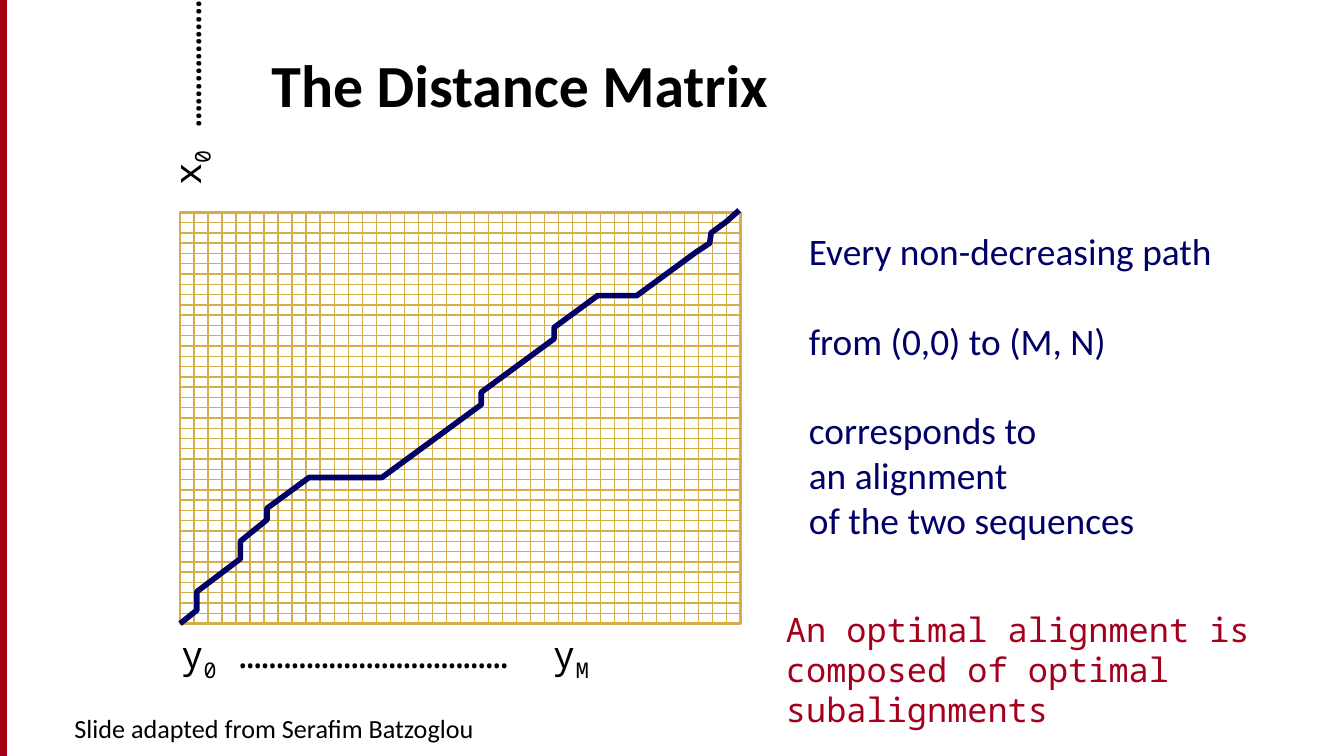
from typing import NamedTuple

from lxml import etree
from pptx import Presentation, util as u
from pptx.dml.color import RGBColor
from pptx.enum import shapes, text
from pptx.oxml.ns import qn

WIDTH = 10
HEIGHT = WIDTH * 9 / 16
BLACK, NAVY, CRIMSON, GOLD = "000000", "000066", "A4001D", "D5AE4C"
SANS, MONO = "Calibri", "Noto Sans Mono"

# Matrix frame, in inches, and its number of cells
LEFT, TOP, MATRIX_W, MATRIX_H = 1.34, 1.58, 4.17, 3.06
COLUMNS = ROWS = 40

# Alignment path as (column, row), counted from the lower left corner
PATH = [
    (0, 0), (1.2, 1.3), (1.2, 3.1), (4.3, 6.3), (4.3, 8), (6.2, 10.1),
    (6.2, 11.2), (9.2, 14.2), (14.4, 14.2), (21.5, 21.3), (21.5, 22.5),
    (26.7, 27.7), (26.7, 28.8), (29.8, 31.9), (32.6, 31.9), (36.8, 36.1),
    (37.8, 37), (37.9, 38), (39, 39.1), (39.9, 40.2),
]


class Run(NamedTuple):
    """A piece of text, lowered when it is an index."""
    words: str
    subscript: bool = False


class Line(NamedTuple):
    """A paragraph and the space above it in points."""
    runs: list[Run]
    space_before: float = 0


class Caption(NamedTuple):
    """A text box with one font throughout."""
    box: tuple[float, float, float, float]
    lines: list[Line]
    font: str
    size: float
    color: str
    align: text.PP_ALIGN = text.PP_ALIGN.LEFT
    rotation: float = 0
    right_inset: float = 0.1


CAPTIONS = [
    Caption((0.25, 5.25, 3.58, 0.38),
            [Line([Run("Slide adapted from Serafim Batzoglou")])],
            SANS, 14, BLACK, text.PP_ALIGN.CENTER),
    Caption((1.25, 4.65, 4.34, 0.44),
            [Line([Run("y"), Run("0", True), Run(" " + "…" * 12 + "  y"),
                   Run("M", True)])],
            MONO, 20, BLACK),
    Caption((0.61, 0.48, 1.56, 0.44),
            [Line([Run("x"), Run("0", True), Run(" " + "…" * 6)])],
            MONO, 20, BLACK, rotation=270, right_inset=0),
    Caption((5.92, 1.65, 3.67, 2.86),
            [Line([Run("Every non-decreasing path")]),
             Line([Run("from (0,0) to (M, N)")], 24),
             Line([Run("corresponds to")], 24),
             Line([Run("an alignment")]),
             Line([Run("of the two sequences")])],
            SANS, 20, NAVY),
    Caption((5.75, 4.48, 4.16, 0.71),
            [Line([Run("An optimal alignment is composed of optimal "
                       "subalignments")])],
            MONO, 18, CRIMSON),
]


def paint(color_format, color: str) -> None:
    """Set a fill, line or font colour from a hex string."""
    color_format.rgb = RGBColor.from_string(color)


def stroke(item, color: str, width: float) -> None:
    """Give a shape or connector a solid line."""
    paint(item.line.color, color)
    item.line.width = u.Pt(width)


def set_font(font, name: str, size: float, color: str) -> None:
    """Set typeface, size and colour."""
    font.name, font.size = name, u.Pt(size)
    paint(font.color, color)


def cell(column: float, row: float) -> tuple[u.Length, u.Length]:
    """Turn a matrix position into slide lengths."""
    return (u.Inches(LEFT + column * MATRIX_W / COLUMNS),
            u.Inches(TOP + MATRIX_H - row * MATRIX_H / ROWS))


def add_rectangle(slide, left: float, top: float, width: float, height: float):
    """Add a rectangle without a shadow."""
    rectangle = slide.shapes.add_shape(
        shapes.MSO_SHAPE.RECTANGLE,
        *map(u.Inches, (left, top, width, height)))
    rectangle.shadow.inherit = False
    return rectangle


def add_rule(slide, start: tuple[float, float], end: tuple[float, float]) -> None:
    """Add one thin grid line between two matrix positions."""
    rule = slide.shapes.add_connector(
        shapes.MSO_CONNECTOR.STRAIGHT, *cell(*start), *cell(*end))
    stroke(rule, GOLD, 0.75)
    etree.SubElement(rule._element.spPr, qn("a:effectLst"))


def add_matrix(slide) -> None:
    """Draw the frame and its inner grid lines."""
    frame = add_rectangle(slide, LEFT, TOP, MATRIX_W, MATRIX_H)
    frame.fill.background()
    stroke(frame, GOLD, 1.5)
    for row in range(1, ROWS):
        add_rule(slide, (0, row), (COLUMNS, row))
    for column in range(1, COLUMNS):
        add_rule(slide, (column, 0), (column, ROWS))


def add_path(slide) -> None:
    """Draw the alignment path through the matrix."""
    start, *steps = [cell(*point) for point in PATH]
    builder = slide.shapes.build_freeform(*start)
    builder.add_line_segments(steps, close=False)
    alignment = builder.convert_to_shape()
    alignment.shadow.inherit = False
    alignment.fill.background()
    stroke(alignment, NAVY, 3)


def add_caption(slide, caption: Caption) -> None:
    """Add a text box with its paragraphs."""
    box = slide.shapes.add_textbox(*map(u.Inches, caption.box))
    box.rotation = caption.rotation
    frame = box.text_frame
    frame.word_wrap = True
    frame.margin_right = u.Inches(caption.right_inset)
    for index, line in enumerate(caption.lines):
        paragraph = frame.add_paragraph() if index else frame.paragraphs[0]
        paragraph.alignment = caption.align
        paragraph.space_before = u.Pt(line.space_before)
        set_font(paragraph.font, caption.font, caption.size, caption.color)
        for piece in line.runs:
            run = paragraph.add_run()
            run.text = piece.words
            if piece.subscript:
                run._r.get_or_add_rPr().set("baseline", "-25000")


def add_title(slide) -> None:
    """Fill and place the title placeholder."""
    title = slide.shapes.title
    title.left, title.top, title.width, title.height = map(
        u.Inches, (1.92, 0, 8.5, 0.94))
    frame = title.text_frame
    frame.text = "The Distance Matrix"
    frame.auto_size = text.MSO_AUTO_SIZE.NONE
    frame.vertical_anchor = text.MSO_ANCHOR.BOTTOM
    heading = frame.paragraphs[0]
    heading.alignment = text.PP_ALIGN.LEFT
    heading.font.bold = True
    set_font(heading.font, SANS, 32, BLACK)


def main() -> None:
    """Build the slide and save it."""
    deck = Presentation()
    deck.slide_width, deck.slide_height = u.Inches(WIDTH), u.Inches(HEIGHT)
    slide = deck.slides.add_slide(deck.slide_layouts[5])
    edge = add_rectangle(slide, 0, 0, 0.05, HEIGHT)
    edge.fill.solid()
    paint(edge.fill.fore_color, "A40508")
    stroke(edge, CRIMSON, 0.75)
    add_title(slide)
    add_matrix(slide)
    add_path(slide)
    for caption in CAPTIONS:
        add_caption(slide, caption)
    deck.save("out.pptx")


main()
